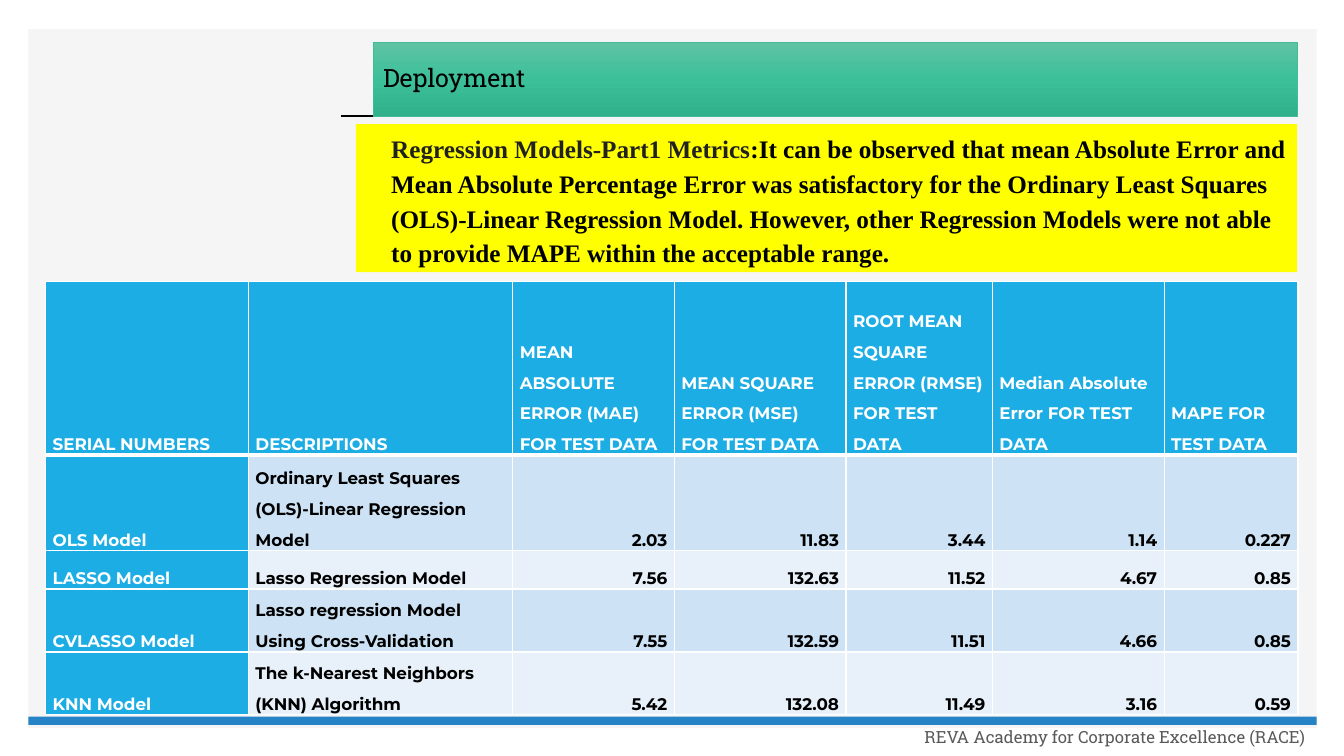
from copy import deepcopy

from lxml import etree
from pptx import Presentation
from pptx.dml.color import RGBColor
from pptx.enum.shapes import MSO_CONNECTOR, MSO_SHAPE
from pptx.enum.text import MSO_ANCHOR, PP_ALIGN
from pptx.oxml import parse_xml
from pptx.oxml.ns import nsdecls, qn
from pptx.util import Pt

LEFT, RIGHT = PP_ALIGN.LEFT, PP_ALIGN.RIGHT
MIDDLE, BOTTOM = MSO_ANCHOR.MIDDLE, MSO_ANCHOR.BOTTOM
RECTANGLE, STRAIGHT = MSO_SHAPE.RECTANGLE, MSO_CONNECTOR.STRAIGHT
color = RGBColor.from_string


def write(frame, runs, font, size, bold=False, align=LEFT, spacing=0.9, anchor=None):
    """Fill a text frame with one paragraph made of (text, colour) runs."""
    frame.word_wrap = True
    frame.vertical_anchor = anchor
    paragraph = frame.paragraphs[0]
    paragraph.alignment = align
    paragraph.line_spacing = spacing
    for text, shade in runs:
        run = paragraph.add_run()
        run.text = text
        run.font.name, run.font.size, run.font.bold = font, Pt(size), bold
        run.font.color.rgb = color(shade)


def add_block(left, top, width, height, shade):
    block = slide.shapes.add_shape(RECTANGLE, Pt(left), Pt(top), Pt(width), Pt(height))
    block.shadow.inherit = False
    block.fill.solid()
    block.fill.fore_color.rgb = color(shade)
    block.line.fill.background()
    return block


prs = Presentation()
prs.slide_width, prs.slide_height = Pt(960), Pt(540)
slide = prs.slides.add_slide(prs.slide_layouts[5])

# Page frame and footer
add_block(20.2, 20.9, 920.2, 499, "F5F5F5")
title_rule = slide.shapes.add_connector(STRAIGHT, Pt(243.4), Pt(82.8), Pt(926.6), Pt(82.8))
title_rule.line.color.rgb = color("000000")
title_rule.line.width = Pt(1)
etree.SubElement(title_rule.element.spPr, qn("a:effectLst"))
add_block(20.2, 511.9, 920.2, 5.8, "2683C6")
footer = slide.shapes.add_textbox(Pt(626.4), Pt(509.8), Pt(313.2), Pt(34.6))
write(footer.text_frame, [("REVA Academy for Corporate Excellence (RACE)", "595959")],
      "Roboto Slab", 12, align=RIGHT, anchor=MIDDLE)

# Title banner, brought in front of the page frame
title = slide.shapes.title
title.element.getparent().append(title.element)
title.left, title.top, title.width, title.height = Pt(266.4), Pt(30.2), Pt(660.2), Pt(52.6)
title.fill.gradient()
title.fill.gradient_angle = 270
first_stop = title.element.spPr.find(".//" + qn("a:gs"))
first_stop.addnext(deepcopy(first_stop))
banner_shades = ["5FC3A3", "3CC09A", "30B08B"]
for stop, position, shade in zip(title.fill.gradient_stops, (0, 0.5, 1), banner_shades):
    stop.position = position
    stop.color.rgb = color(shade)
title.line.color.rgb = color("42BA97")
title.line.width = Pt(0.5)
write(title.text_frame, [("Deployment", "000000")], "Roboto Slab", 18, anchor=MIDDLE)

# Finding
finding = add_block(254.2, 88.6, 672.4, 105.8, "FFFF00").text_frame
finding.margin_left = Pt(25.2)
write(finding, [
    ("Regression Models-Part1 Metrics", "212121"),
    (":It can be observed that mean Absolute Error and Mean Absolute Percentage Error was "
     "satisfactory for the Ordinary Least Squares (OLS)-Linear Regression Model. However, "
     "other Regression Models were not able to provide MAPE within the acceptable range.",
     "000000"),
], "Times New Roman", 18, bold=True, spacing=1.15, anchor=MSO_ANCHOR.TOP)

# Metrics table
metrics = [
    ["SERIAL NUMBERS", "DESCRIPTIONS", "MEAN ABSOLUTE ERROR (MAE) FOR TEST DATA",
     "MEAN SQUARE ERROR (MSE) FOR TEST DATA", "ROOT MEAN SQUARE ERROR (RMSE) FOR TEST DATA",
     "Median Absolute Error FOR TEST DATA", "MAPE FOR TEST DATA"],
    ["OLS Model", "Ordinary Least Squares (OLS)-Linear Regression Model",
     "2.03", "11.83", "3.44", "1.14", "0.227"],
    ["LASSO Model", "Lasso Regression Model", "7.56", "132.63", "11.52", "4.67", "0.85"],
    ["CVLASSO Model", "Lasso regression Model Using Cross-Validation",
     "7.55", "132.59", "11.51", "4.66", "0.85"],
    ["KNN Model", "The k-Nearest Neighbors (KNN) Algorithm",
     "5.42", "132.08", "11.49", "3.16", "0.59"],
]
column_widths = [144.9, 188.8, 115.4, 122.7, 104.5, 122.7, 95.6]
row_heights = [123.8, 68.4, 27.4, 45, 44.6]
table = slide.shapes.add_table(len(metrics), len(column_widths), Pt(32.6), Pt(201.1),
                               Pt(sum(column_widths)), Pt(sum(row_heights))).table
table.horz_banding = False
for column, width in zip(table.columns, column_widths):
    column.width = Pt(width)
for r, (row, height) in enumerate(zip(metrics, row_heights)):
    table.rows[r].height = Pt(height)
    for c, text in enumerate(row):
        cell = table.cell(r, c)
        heading = r == 0 or c == 0
        cell.margin_left = cell.margin_right = Pt(5)
        cell.margin_top = cell.margin_bottom = 0
        write(cell.text_frame, [(text, "FFFFFF" if heading else "000000")], "Montserrat", 12,
              bold=True, align=RIGHT if r > 0 and c > 1 else LEFT, spacing=1.5)
        cell.vertical_anchor = BOTTOM
        for side in "LRTB":
            thick = (r, side) in ((0, "B"), (1, "T"))
            cell._tc.get_or_add_tcPr().append(parse_xml(
                f'<a:ln{side} {nsdecls("a")} w="{Pt(3 if thick else 1)}"><a:solidFill>'
                f'<a:srgbClr val="FFFFFF"/></a:solidFill></a:ln{side}>'))
        cell.fill.solid()
        band = "CDE3F5" if r % 2 else "E8F1FA"
        cell.fill.fore_color.rgb = color("1CADE4" if heading else band)

prs.save("out.pptx")
